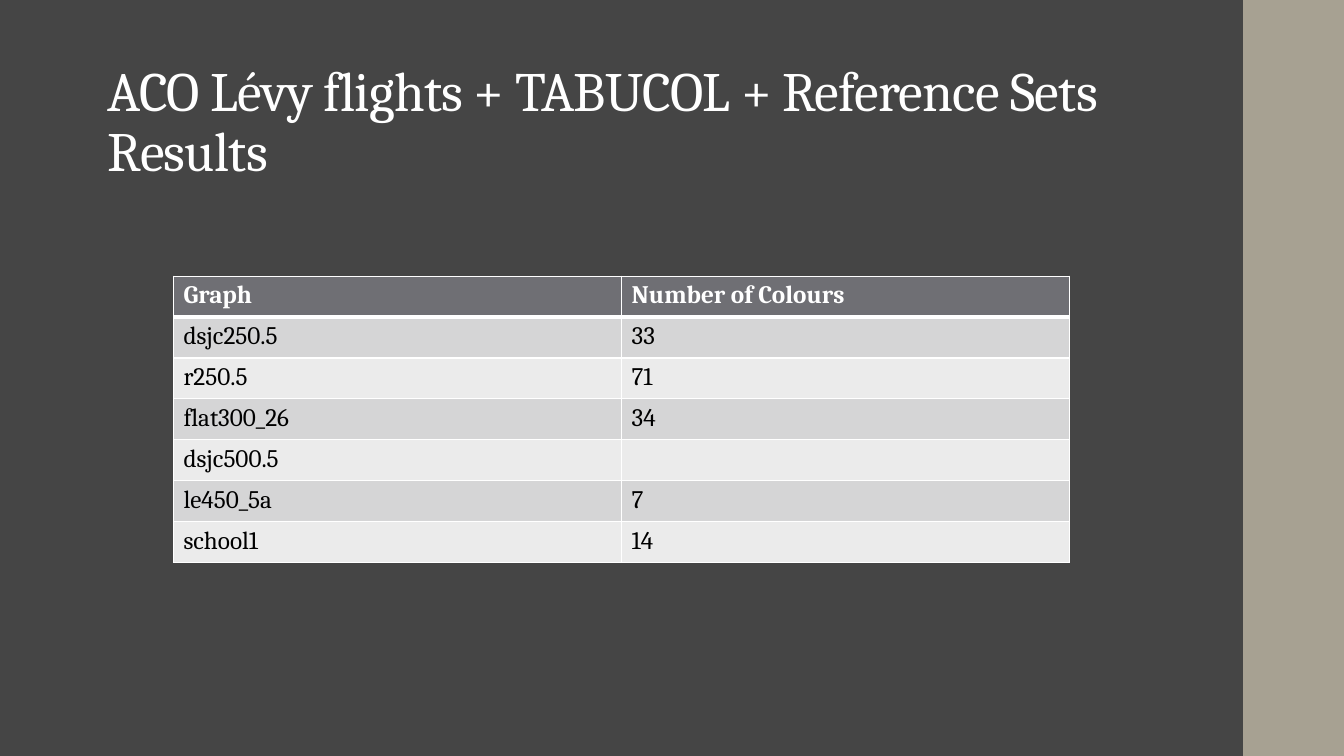
"""Build the results slide for ACO Lévy flights with TABUCOL and reference sets."""
from dataclasses import dataclass

from lxml import etree
from pptx import Presentation
from pptx.dml.color import RGBColor
from pptx.enum.shapes import MSO_SHAPE
from pptx.enum.text import MSO_ANCHOR, MSO_AUTO_SIZE, PP_ALIGN
from pptx.oxml.ns import qn
from pptx.slide import Slide
from pptx.table import _Cell
from pptx.text.text import _Paragraph
from pptx.util import Emu, Inches, Pt

RECTANGLE = MSO_SHAPE.RECTANGLE
BOTTOM = MSO_ANCHOR.BOTTOM
LEFT = PP_ALIGN.LEFT
NO_AUTOFIT = MSO_AUTO_SIZE.NONE

PAGE_WIDTH, PAGE_HEIGHT = Inches(13.33), Inches(7.5)
TITLE_ONLY = 5
FONT = "Cambria"
COLOURS = {
    "page": "454545",
    "sidebar": "A7A192",
    "header": "6F6F74",
    "odd": "D5D5D6",
    "even": "EBEBEB",
    "light": "FFFFFF",
    "dark": "000000",
}


@dataclass(frozen=True)
class Area:
    """Left, top, width and height as shares of the slide."""

    left: float
    top: float
    width: float
    height: float

    def place(self) -> tuple[Emu, Emu, Emu, Emu]:
        return (
            Emu(round(self.left * PAGE_WIDTH)),
            Emu(round(self.top * PAGE_HEIGHT)),
            Emu(round(self.width * PAGE_WIDTH)),
            Emu(round(self.height * PAGE_HEIGHT)),
        )


@dataclass(frozen=True)
class Result:
    graph: str
    colours: str


TITLE = "ACO Lévy flights + TABUCOL + Reference Sets Results"
TITLE_AREA = Area(0.97 / 13.33, 0.87 / 7.5, 10.74 / 13.33, 1 / 7.5)
SIDEBAR_AREA = Area(12.33 / 13.33, 0, 1 / 13.33, 1)
TABLE_AREA = Area(1.72 / 13.33, 2.74 / 7.5, 8.89 / 13.33, 2.84 / 7.5)
HEADER = Result("Graph", "Number of Colours")
RESULTS = [
    Result("dsjc250.5", "33"),
    Result("r250.5", "71"),
    Result("flat300_26", "34"),
    Result("dsjc500.5", ""),
    Result("le450_5a", "7"),
    Result("school1", "14"),
]


def colour(name: str) -> RGBColor:
    return RGBColor.from_string(COLOURS[name])


def set_font(para: _Paragraph, size: float, ink: str, bold: bool = False) -> None:
    para.font.name = FONT
    para.font.size = Pt(size)
    para.font.bold = bold
    para.font.color.rgb = colour(ink)


def add_sidebar(page: Slide) -> None:
    sidebar = page.shapes.add_shape(RECTANGLE, *SIDEBAR_AREA.place())
    sidebar.shadow.inherit = False
    sidebar.fill.solid()
    sidebar.fill.fore_color.rgb = colour("sidebar")
    sidebar.line.fill.background()


def add_title(page: Slide) -> None:
    title = page.shapes.title
    title.left, title.top, title.width, title.height = TITLE_AREA.place()
    frame = title.text_frame
    frame.text = TITLE
    frame.word_wrap = True
    frame.auto_size = NO_AUTOFIT
    frame.vertical_anchor = BOTTOM
    para = frame.paragraphs[0]
    para.alignment = LEFT
    para.line_spacing = 0.9
    set_font(para, 39.6, "light")
    para.runs[0].font._element.set("spc", "-50")


def set_borders(cell: _Cell, widths: dict[str, float]) -> None:
    properties = cell._tc.get_or_add_tcPr()
    for side, width in widths.items():
        border = etree.SubElement(properties, qn(f"a:{side}"), w=str(Pt(width)))
        fill = etree.SubElement(border, qn("a:solidFill"))
        etree.SubElement(fill, qn("a:srgbClr"), val=COLOURS["light"])


def format_cell(cell: _Cell, text: str, row: int) -> None:
    is_header = row == 0
    set_borders(cell, {
        "lnL": 1,
        "lnR": 1,
        "lnT": 3 if row == 1 else 1,
        "lnB": 3 if is_header else 1,
    })
    cell.fill.solid()
    band = "header" if is_header else ("odd" if row % 2 else "even")
    cell.fill.fore_color.rgb = colour(band)
    cell.text = text
    set_font(cell.text_frame.paragraphs[0], 18, "light" if is_header else "dark", is_header)


def add_results(page: Slide) -> None:
    rows = [HEADER, *RESULTS]
    table = page.shapes.add_table(len(rows), 2, *TABLE_AREA.place()).table
    for row, result in enumerate(rows):
        for column, text in enumerate((result.graph, result.colours)):
            format_cell(table.cell(row, column), text, row)


def main() -> None:
    deck = Presentation()
    deck.slide_width, deck.slide_height = PAGE_WIDTH, PAGE_HEIGHT
    page = deck.slides.add_slide(deck.slide_layouts[TITLE_ONLY])
    page.background.fill.solid()
    page.background.fill.fore_color.rgb = colour("page")
    add_title(page)
    add_sidebar(page)
    add_results(page)
    deck.save("out.pptx")


if __name__ == "__main__":
    main()
